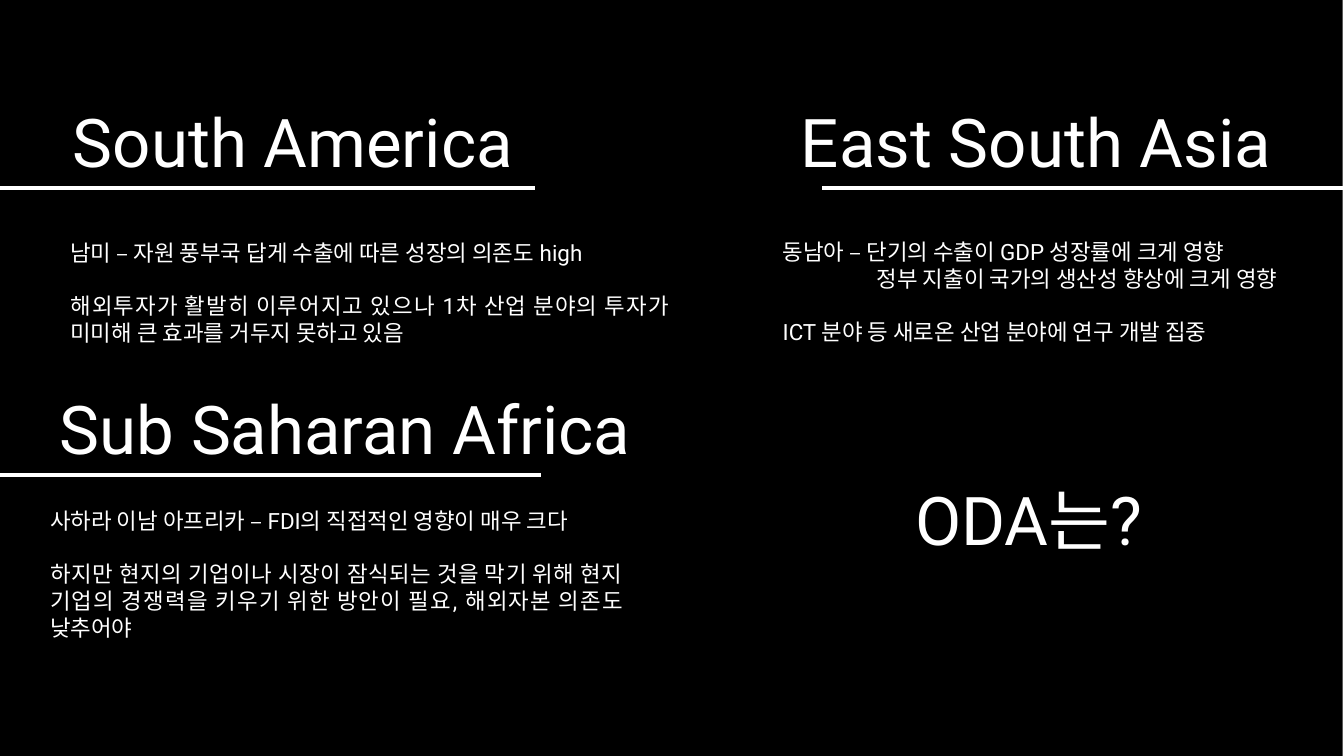
from dataclasses import dataclass

from lxml import etree
from pptx import Presentation
from pptx.dml.color import RGBColor
from pptx.enum import shapes, text
from pptx.oxml import ns
from pptx.util import Pt

EMU_PER_PX = 4572
WIDTH, HEIGHT = 2000, 1125


@dataclass(frozen=True)
class Theme:
    background: RGBColor = RGBColor(0, 0, 0)
    foreground: RGBColor = RGBColor(255, 255, 255)
    font: str = "Roboto"
    title_size: int = 36
    body_size: int = 12
    block_gap: int = 14
    rule_width: float = 2.25


THEME = Theme()

SOUTH_AMERICA = [
    ["남미 – 자원 풍부국 답게 수출에 따른 성장의 의존도 high"],
    ["해외투자가 활발히 이루어지고 있으나 1차 산업 분야의 투자가 미미해 큰 효과를 거두지 못하고 있음"],
]
AFRICA = [
    ["사하라 이남 아프리카 – FDI의 직접적인 영향이 매우 크다"],
    ["하지만 현지의 기업이나 시장이 잠식되는 것을 막기 위해 현지 기업의 경쟁력을 키우기 위한 방안이 필요, 해외자본 의존도 낮추어야"],
]
ASIA = [
    ["동남아 – 단기의 수출이 GDP 성장률에 크게 영향", "정부 지출이 국가의 생산성 향상에 크게 영향"],
    ["ICT 분야 등 새로온 산업 분야에 연구 개발 집중"],
]


def px(length):
    return length * EMU_PER_PX


def add_background(slide):
    shape = slide.shapes.add_shape(
        shapes.MSO_SHAPE.RECTANGLE, px(-2), 0, px(WIDTH), px(HEIGHT))
    shape.shadow.inherit = False
    shape.fill.solid()
    shape.fill.fore_color.rgb = THEME.background
    shape.line.fill.background()


def add_rule(slide, left, right, y):
    line = slide.shapes.add_connector(
        shapes.MSO_CONNECTOR.STRAIGHT, px(left), px(y), px(right), px(y))
    line.line.color.rgb = THEME.foreground
    line.line.width = Pt(THEME.rule_width)
    etree.SubElement(line._element.spPr, ns.qn("a:effectLst"))


def add_text_frame(slide, left, top, width, height):
    box = slide.shapes.add_textbox(px(left), px(top), px(width), px(height))
    frame = box.text_frame
    frame.word_wrap = True
    frame.auto_size = text.MSO_AUTO_SIZE.SHAPE_TO_FIT_TEXT
    return frame


def format_paragraph(paragraph, size, alignment):
    paragraph.alignment = alignment
    for run in paragraph.runs:
        run.font.size = Pt(size)
        run.font.name = THEME.font
        run.font.color.rgb = THEME.foreground


def add_title(slide, title, left, top, width):
    frame = add_text_frame(slide, left, top, width, 142)
    frame.text = title
    format_paragraph(frame.paragraphs[0], THEME.title_size, text.PP_ALIGN.CENTER)


def add_body(slide, blocks, left, top, width, height, indent=140):
    frame = add_text_frame(slide, left, top, width, height)
    frame.text = "\n".join(line for block in blocks for line in block)
    positions = [(b, i) for b, block in enumerate(blocks) for i in range(len(block))]
    for paragraph, (block, line) in zip(frame.paragraphs, positions):
        format_paragraph(paragraph, THEME.body_size, text.PP_ALIGN.JUSTIFY)
        if line:
            paragraph._p.get_or_add_pPr().set("marL", str(px(indent)))
        elif block:
            paragraph.space_before = Pt(THEME.block_gap)


def main():
    presentation = Presentation()
    presentation.slide_width = px(WIDTH)
    presentation.slide_height = px(HEIGHT)
    slide = presentation.slides.add_slide(presentation.slide_layouts[6])

    add_background(slide)

    add_title(slide, "South America", 24, 140, 824)
    add_rule(slide, -4, 796, 280)
    add_body(slide, SOUTH_AMERICA, 85, 346, 930, 182)

    add_title(slide, "East South Asia", 1142, 140, 800)
    add_rule(slide, 1224, 1998, 280)
    add_body(slide, ASIA, 1145, 344, 930, 182)

    add_title(slide, "Sub Saharan Africa", -64, 567, 1156)
    add_rule(slide, 0, 805, 707)
    add_body(slide, AFRICA, 55, 745, 892, 222)

    add_title(slide, "ODA는?", 1093, 702, 876)

    presentation.save("out.pptx")


if __name__ == "__main__":
    main()
